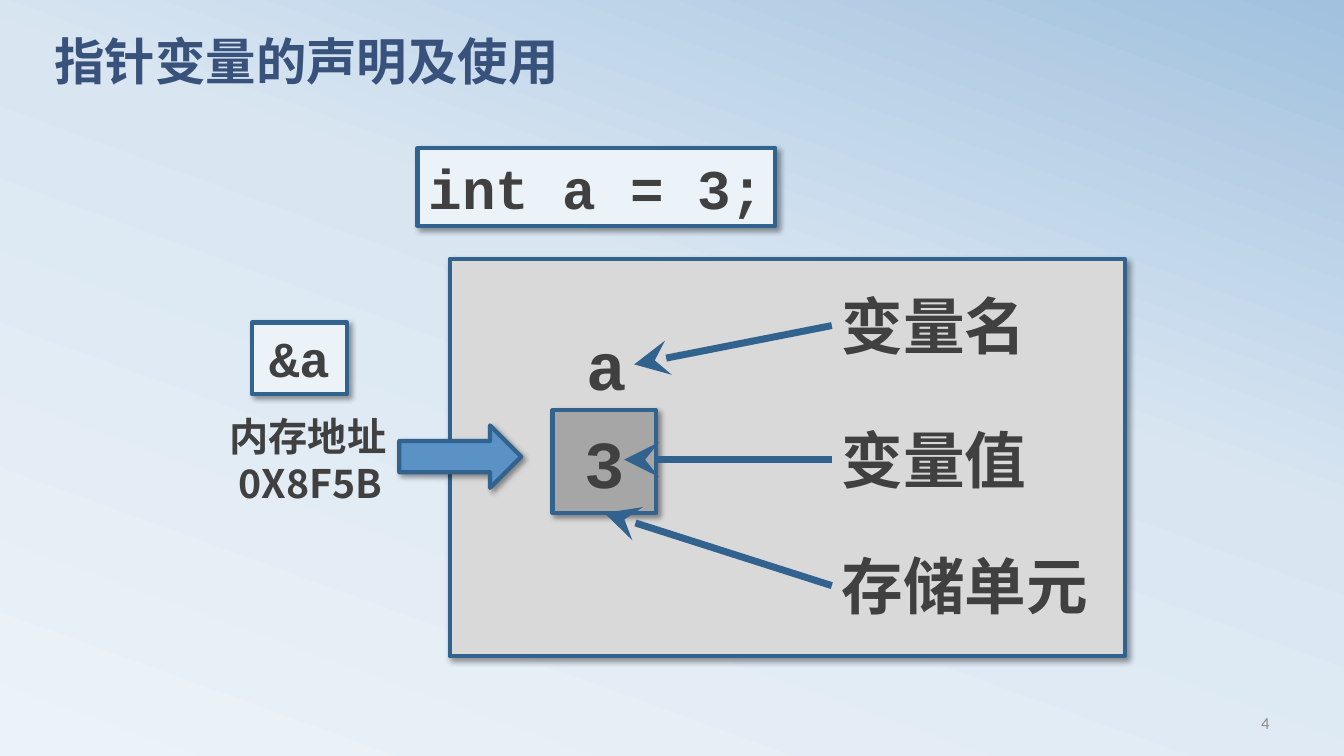
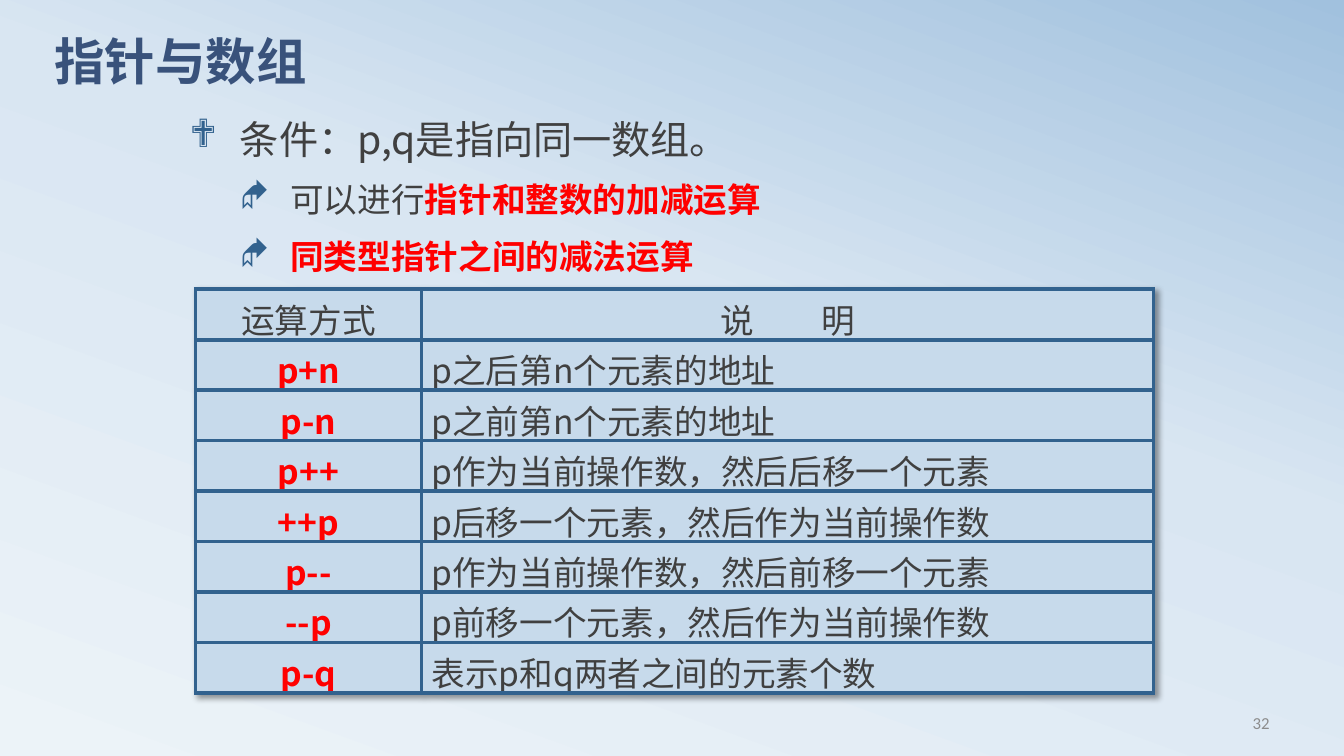
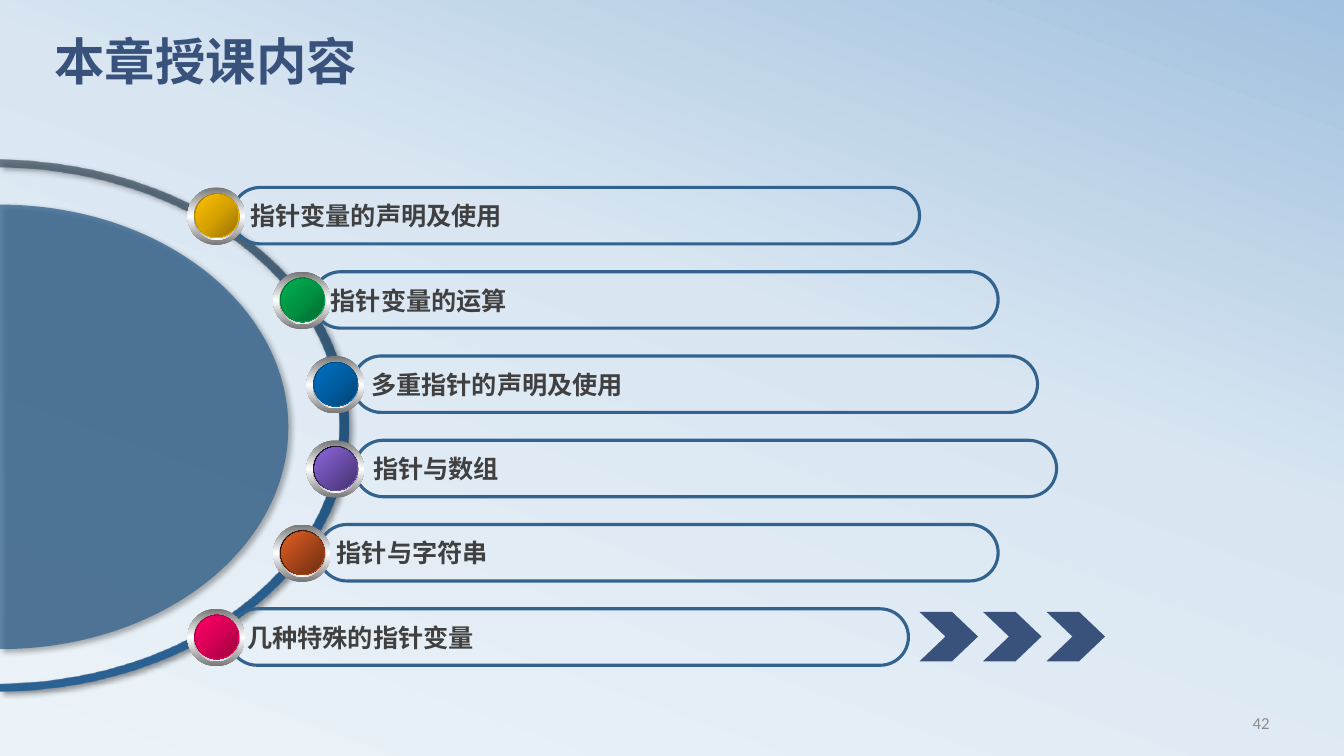
from lxml import etree
from pptx import Presentation
from pptx.dml.color import RGBColor
from pptx.enum.shapes import MSO_CONNECTOR, MSO_SHAPE
from pptx.enum.text import MSO_ANCHOR, MSO_AUTO_SIZE, PP_ALIGN
from pptx.oxml.ns import qn
from pptx.util import Inches, Pt

BLUE, NAVY, INK, RED = "32628E", "39527B", "404040", "FF0000"
PALE, GREY, CELL_FILL = "ECF3F8", "8C8C8C", "C7DAEB"
CJK, CODE, LATIN = "Noto Sans CJK SC", "Courier New", "Calibri"
LEFT, CENTER, RIGHT = PP_ALIGN.LEFT, PP_ALIGN.CENTER, PP_ALIGN.RIGHT
TOP, MIDDLE = MSO_ANCHOR.TOP, MSO_ANCHOR.MIDDLE

BACKDROP = [(0, PALE), (58, "D9E6F2"), (100, "A1C1DE")]

LABELS = [("变量名", 2.81, 2.05), ("变量值", 4.14, 2.05), ("存储单元", 5.39, 2.67)]

CONDITIONS = [
    (0, 28, [("条件：p,q是指向同一数组。", INK, False)]),
    (1, 24, [("可以进行", INK, False), ("指针和整数的加减运算", RED, True)]),
    (1, 24, [("同类型指针之间的减法运算", RED, True)]),
]
BULLETS = "❖◆"

OPERATIONS = [
    ("运算方式", "说　　明"),
    ("p+n", "p之后第n个元素的地址"),
    ("p-n", "p之前第n个元素的地址"),
    ("p++", "p作为当前操作数，然后后移一个元素"),
    ("++p", "p后移一个元素，然后作为当前操作数"),
    ("p--", "p作为当前操作数，然后前移一个元素"),
    ("--p", "p前移一个元素，然后作为当前操作数"),
    ("p-q", "表示p和q两者之间的元素个数"),
]
ROW_HEIGHT = 0.48

# topic, pill left, pill width, ball left, ball shades from dark to bright
TOPICS = [
    ("指针变量的声明及使用", 2.3, 6.82, 1.86, ("977200", "D7A200", "FFC000")),
    ("指针变量的运算", 3.1, 6.8, 2.71, ("00682F", "009443", "00B050")),
    ("多重指针的声明及使用", 3.5, 6.79, 3.04, ("004272", "005EA2", "0070C0")),
    ("指针与数组", 3.52, 6.96, 3.04, ("45326D", "8D67E1")),
    ("指针与字符串", 3.16, 6.74, 2.71, ("6E2E11", "E35E23")),
    ("几种特殊的指针变量", 2.27, 6.74, 1.86, ("97003C", "D70056", "FF0066")),
]
TOPIC_TOP, TOPIC_BOTTOM = 1.86, 6.04

# outlines: a start, then lines (one point) and curves (three points)
RING = [
    [(0, 1.66)],
    [(1.86, 1.68), (3.36, 2.82), (3.36, 4.22)],
    [(3.36, 5.62), (1.86, 6.76), (0, 6.78)],
    [(0, 6.86)],
    [(1.92, 6.84), (3.46, 5.66), (3.46, 4.22)],
    [(3.46, 2.78), (1.92, 1.61), (0, 1.58)],
]
DISC = [
    [(0, 2.03)],
    [(1.58, 2.03), (2.86, 3.02), (2.86, 4.24)],
    [(2.86, 5.46), (1.58, 6.44), (0, 6.44)],
]


def rgb(value):
    return RGBColor.from_string(value)


def box(*lengths):
    return [Inches(length) for length in lengths]


def add(parent, tag, **attributes):
    node = etree.SubElement(parent, qn(tag))
    for key, value in attributes.items():
        node.set(key, str(value))
    return node


def gradient(parent, stops, angle):
    """Put a linear gradient in place of the plain fill of parent."""
    old = next(parent.find(qn(tag)) for tag in ("a:noFill", "a:solidFill")
               if parent.find(qn(tag)) is not None)
    grad = add(parent, "a:gradFill", rotWithShape=1)
    stop_list = add(grad, "a:gsLst")
    for position, color, *alpha in stops:
        stop = add(stop_list, "a:gs", pos=position * 1000)
        clr = add(stop, "a:srgbClr", val=color)
        if alpha:
            add(clr, "a:alpha", val=alpha[0] * 1000)
    add(grad, "a:lin", ang=angle * 60000, scaled=0)
    parent.replace(old, grad)


def even_stops(colors):
    return [(100 * i // (len(colors) - 1), c) for i, c in enumerate(colors)]


def add_run(paragraph, text, size, font=CJK, color=INK, bold=True):
    run = paragraph.add_run()
    run.text = text
    run.font.size, run.font.name, run.font.bold = Pt(size), font, bold
    run.font.color.rgb = rgb(color)
    if font == CJK:
        add(run.font._element, "a:ea", typeface=font)


def write(holder, text, size, align=LEFT, anchor=TOP, wrap=True, **font):
    frame = holder.text_frame
    frame.word_wrap, frame.vertical_anchor = wrap, anchor
    for i, line in enumerate(text.split("\n")):
        paragraph = frame.add_paragraph() if i else frame.paragraphs[0]
        paragraph.alignment = align
        add_run(paragraph, line, size, **font)


def add_text(slide, at, text, size, **style):
    holder = slide.shapes.add_textbox(*box(*at))
    write(holder, text, size, **style)
    return holder


def cast_shadow(effects):
    outer = add(effects, "a:outerShdw", blurRad=Pt(4), dist=Pt(3),
                dir=45 * 60000, algn="tl", rotWithShape=0)
    add(add(outer, "a:srgbClr", val="000000"), "a:alpha", val=40000)


def paint(shape, fill=None, line=None, width=3, shadow=False, alpha=None):
    if fill:
        shape.fill.solid()
        shape.fill.fore_color.rgb = rgb(fill)
        if alpha:
            clr = shape._element.spPr.find(qn("a:solidFill"))[0]
            add(clr, "a:alpha", val=alpha * 1000)
    else:
        shape.fill.background()
    if line:
        shape.line.color.rgb = rgb(line)
        shape.line.width = Pt(width)
    else:
        shape.line.fill.background()
    shape.shadow.inherit = False
    if shadow:
        cast_shadow(shape._element.spPr.find(qn("a:effectLst")))


def add_shape(shapes, kind, at, **look):
    shape = shapes.add_shape(kind, *box(*at))
    paint(shape, **look)
    return shape


def add_framed(slide, at, fill, kind=MSO_SHAPE.RECTANGLE):
    return add_shape(slide.shapes, kind, at, fill=fill, line=BLUE, shadow=True)


def set_up_master(master):
    master.background.fill.solid()
    gradient(master.element.find(".//" + qn("p:bgPr")), BACKDROP, 290)
    title = next(p for p in master.placeholders if p.placeholder_format.idx == 0)
    title.left, title.top, title.width, title.height = box(0.44, 0.36, 12, 0.94)


def new_slide(deck, layout, title, number):
    slide = deck.slides.add_slide(deck.slide_layouts[layout])
    heading = slide.shapes.title
    write(heading, title, 36, font=LATIN, color=NAVY)
    heading.text_frame.auto_size = MSO_AUTO_SIZE.NONE
    heading.text_frame.paragraphs[0].line_spacing = 0.8
    add_text(slide, (9.58, 6.97, 3.11, 0.4), number, 12, align=RIGHT,
             anchor=MIDDLE, font=LATIN, color=GREY, bold=False)
    return slide


def add_pointer(slide, label, target=None, side=None, end=(0, 0)):
    """Arrow from the left side of a label to a shape's side or a point."""
    pointer = slide.shapes.add_connector(MSO_CONNECTOR.STRAIGHT, 0, 0, *box(*end))
    pointer.begin_connect(label, 1)
    if target is not None:
        pointer.end_connect(target, side)
    pointer.line.color.rgb = rgb(BLUE)
    pointer.line.width = Pt(5)
    add(pointer.line._get_or_add_ln(), "a:tailEnd", type="stealth", w="lg", len="lg")
    add(pointer._element.spPr, "a:effectLst")


def build_declaration(deck):
    slide = new_slide(deck, 5, "指针变量的声明及使用", "4")
    add_framed(slide, (4.46, 2.57, 6.7, 3.94), "D9D9D9")
    statement = add_framed(slide, (4.14, 1.47, 3.55, 0.77), PALE)
    write(statement, "int a = 3;", 40, align=CENTER, wrap=False, font=CODE)
    location = add_text(slide, (2.18, 4.04, 1.8, 1.04), "内存地址\n0X8F5B", 28)
    location.text_frame.paragraphs[1].alignment = CENTER
    address = add_framed(slide, (2.5, 3.2, 0.94, 0.71), PALE)
    write(address, "&a", 36, align=CENTER, wrap=False, font=CODE)
    cell = add_framed(slide, (5.48, 4.07, 1.03, 1.02), "A6A6A6")
    write(cell, "3", 48, align=CENTER, anchor=MIDDLE, font=CODE)
    variable = add_text(slide, (5.72, 3.16, 0.57, 0.91), "a", 48, wrap=False, font=CODE)
    name, value, storage = [
        add_text(slide, (8.25, top, width, 0.84), text, 44, wrap=False)
        for text, top, width in LABELS]
    add_pointer(slide, name, variable, 3)
    add_pointer(slide, value, end=(6.19, 4.56))
    add_pointer(slide, storage, cell, 2)
    add_framed(slide, (3.96, 4.22, 1.21, 0.62), "5A92C5", MSO_SHAPE.RIGHT_ARROW)


def fill_conditions(body):
    body.left, body.top, body.width, body.height = box(1.78, 1.09, 8.19, 1.72)
    frame = body.text_frame
    frame.auto_size = MSO_AUTO_SIZE.NONE
    for i, (level, size, runs) in enumerate(CONDITIONS):
        paragraph = frame.add_paragraph() if i else frame.paragraphs[0]
        paragraph.level = level
        paragraph.space_before = paragraph.space_after = Pt(6)
        for text, color, bold in runs:
            add_run(paragraph, text, size, color=color, bold=bold)
        props = paragraph._p.get_or_add_pPr()
        props.set("marL", str(Inches(0.5 * (level + 1))))
        props.set("indent", str(Inches(-0.5)))
        add(add(props, "a:buClr"), "a:srgbClr", val=BLUE)
        add(props, "a:buFont", typeface="Wingdings", charset=2)
        add(props, "a:buChar", char=BULLETS[level])


def border(cell):
    props = cell._tc.get_or_add_tcPr()
    for i, side in enumerate("LRTB"):
        line = add(props, "a:ln" + side, w=Pt(3))
        add(add(line, "a:solidFill"), "a:srgbClr", val=BLUE)
        props.insert(i, line)


def build_array(deck):
    slide = new_slide(deck, 1, "指针与数组", "32")
    fill_conditions(slide.placeholders[1])
    rows = len(OPERATIONS)
    table = slide.shapes.add_table(
        rows, 2, *box(1.94, 2.87, 9.5, rows * ROW_HEIGHT)).table
    effects = add(table._tbl.tblPr, "a:effectLst")
    table._tbl.tblPr.insert(0, effects)
    cast_shadow(effects)
    for column, width in zip(table.columns, (2.24, 7.26)):
        column.width = Inches(width)
    for r, row in enumerate(OPERATIONS):
        for c, text in enumerate(row):
            cell = table.cell(r, c)
            cell.fill.solid()
            cell.fill.fore_color.rgb = rgb(CELL_FILL)
            cell.vertical_anchor = MIDDLE
            operator = r > 0 and c == 0
            paragraph = cell.text_frame.paragraphs[0]
            paragraph.alignment = LEFT if r and c else CENTER
            before = add(paragraph._p.get_or_add_pPr(), "a:spcBef")
            add(before, "a:spcPct", val=20000)
            add_run(paragraph, text, 24, color=RED if operator else INK, bold=operator)
            border(cell)


def add_outline(slide, segments, **look):
    points = [tuple(box(*point)) for segment in segments for point in segment]
    builder = slide.shapes.build_freeform(*points[0])
    builder.add_line_segments(points[1:], close=True)
    outline = builder.convert_to_shape()
    steps = iter(outline._element.findall(".//" + qn("a:lnTo")))
    for segment in segments[1:]:
        first, *others = [next(steps) for _ in segment]
        if others:
            curve = etree.Element(qn("a:cubicBezTo"))
            first.addprevious(curve)
            for step in (first, *others):
                curve.append(step[0])
                step.getparent().remove(step)
    paint(outline, shadow=True, **look)
    return outline


def add_ball(slide, left, top, shades):
    rim = shades if len(shades) == 3 else ("000000", shades[-1])
    layers = [
        (0, 0, 0.57, ("767676", "FFFFFF", "767676"), 90),
        (0.06, 0.06, 0.46, ("A2A2A2", "FFFFFF", "A2A2A2"), 0),
        (0.07, 0.06, 0.44, rim, 45),
        (0.08, 0.07, 0.42, shades[::-1], 45),
    ]
    ball = slide.shapes.add_group_shape()
    for dx, dy, size, colors, angle in layers:
        disc = add_shape(ball.shapes, MSO_SHAPE.OVAL, (left + dx, top + dy, size, size))
        gradient(disc._element.spPr, even_stops(colors), angle)


def build_contents(deck):
    slide = new_slide(deck, 5, "本章授课内容", "42")
    ring = add_outline(slide, RING)
    gradient(ring._element.spPr,
             [(0, "445462", 75), (50, "24537D"), (100, "2B6295")], 90)
    add_outline(slide, DISC, fill=BLUE, alpha=75)
    pitch = (TOPIC_BOTTOM - TOPIC_TOP) / (len(TOPICS) - 1)
    tops = [TOPIC_TOP + pitch * i for i in range(len(TOPICS))]
    for top, (topic, left, width, _, _) in zip(tops, TOPICS):
        pill = add_shape(slide.shapes, MSO_SHAPE.ROUNDED_RECTANGLE,
                         (left, top, width, 0.56), line=BLUE, width=2.25)
        pill.adjustments[0] = 0.5
        write(pill, topic, 18, anchor=MIDDLE, wrap=False)
    for top, (_, _, _, left, shades) in zip(tops, TOPICS):
        add_ball(slide, left, top, shades)
    chevrons = slide.shapes.add_group_shape()
    for i in range(3):
        chevron = add_shape(chevrons.shapes, MSO_SHAPE.CHEVRON,
                            (9.12 + 0.63 * i, 6.07, 0.58, 0.49), fill=NAVY)
        chevron.adjustments[0] = 0.525


def main():
    deck = Presentation()
    deck.slide_width, deck.slide_height = box(13.33, 7.5)
    set_up_master(deck.slide_master)
    build_declaration(deck)
    build_array(deck)
    build_contents(deck)
    deck.save("out.pptx")


if __name__ == "__main__":
    main()
